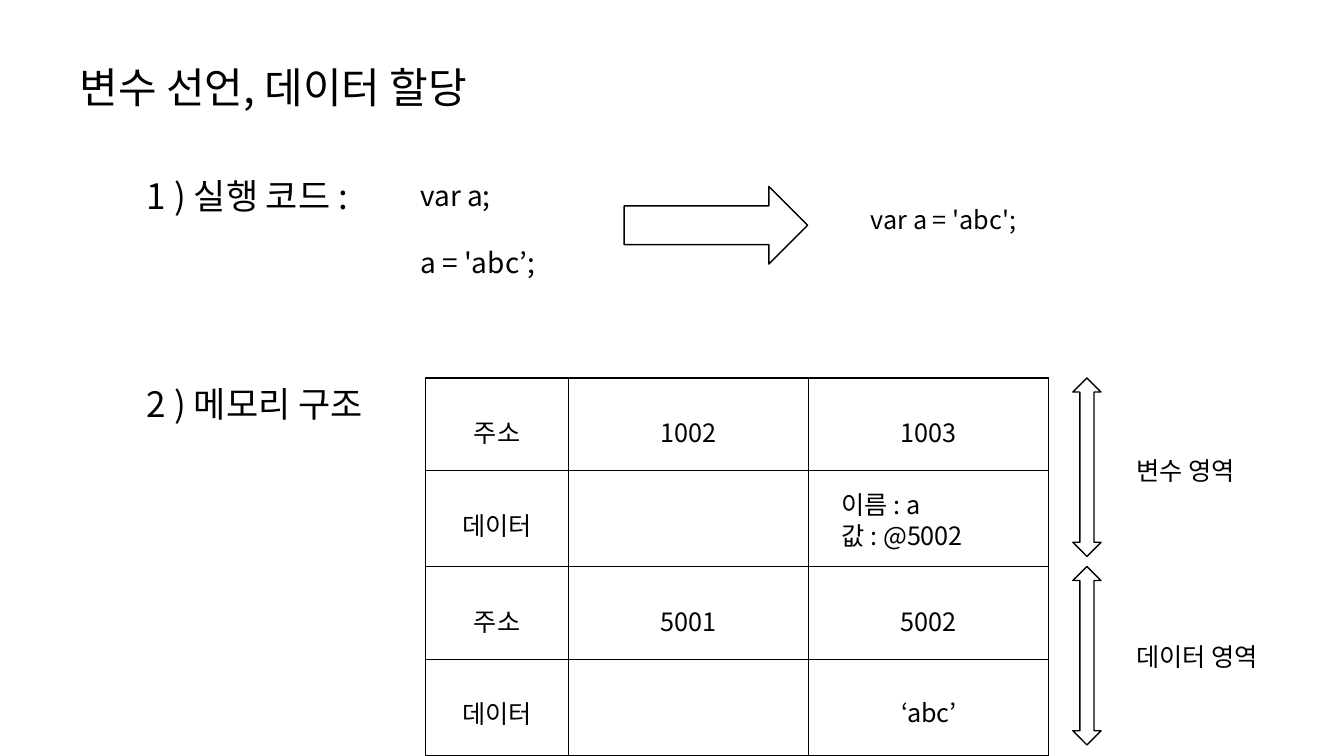
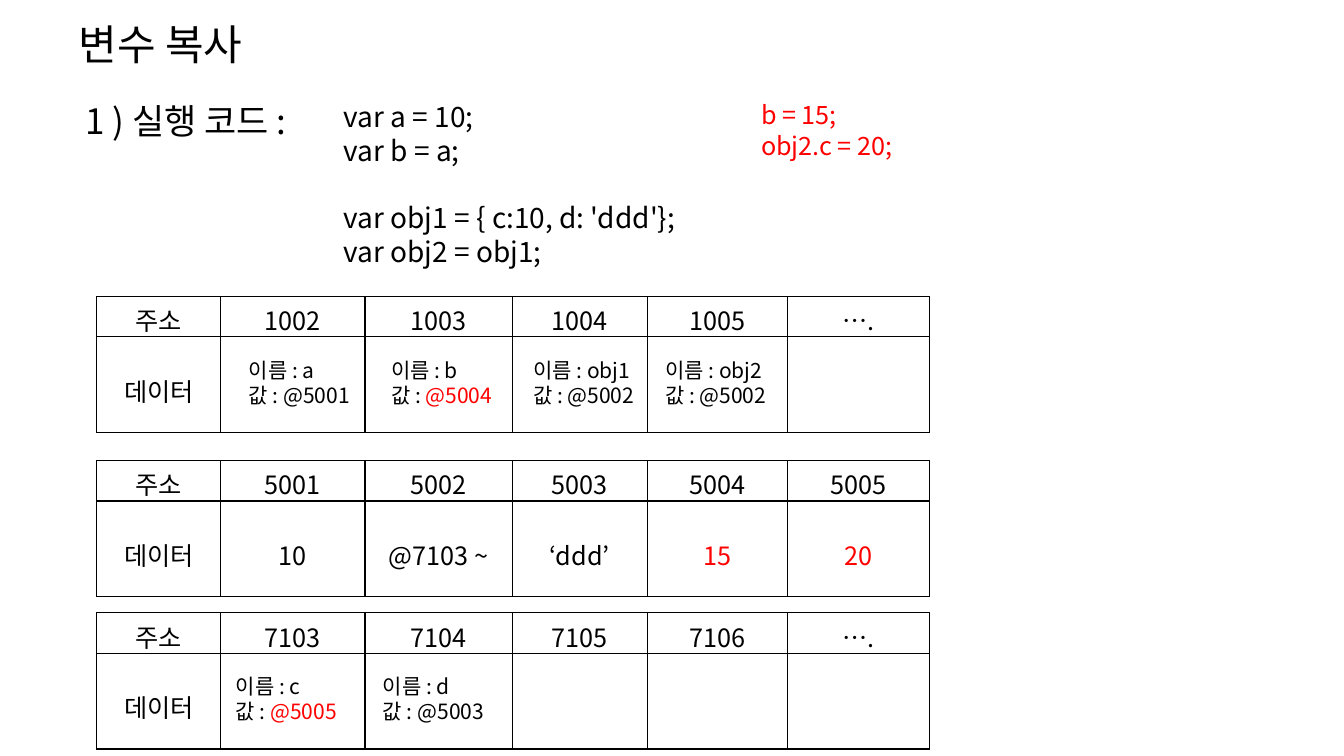
from pptx import Presentation
from pptx.dml.color import RGBColor
from pptx.enum.shapes import MSO_SHAPE
from pptx.enum.text import MSO_AUTO_SIZE, PP_ALIGN
from pptx.oxml.ns import qn
from pptx.util import Inches, Pt
from lxml.etree import SubElement

COLORS = {"black": "000000", "white": "FFFFFF", "red": "FF0000"}
FACE = "Noto Sans CJK KR"
SIZES = {"title": 30, "head": 25, "code": 20, "label": 18, "small": 15}
FRAME = {"word_wrap": True, "auto_size": MSO_AUTO_SIZE.SHAPE_TO_FIT_TEXT}
PLAIN = {"first_row": False, "horz_banding": False}
MIDDLE = {"alignment": PP_ALIGN.CENTER}
EDGES = ("a:lnL", "a:lnR", "a:lnT", "a:lnB")
MEMO = (1.42, 2.38, 2.38)
GRID = (1.23, 1.43, 1.46, 1.34, 1.39, 1.41)


def apply(item, values):
    for name, value in values.items():
        setattr(item, name, value)


def paint(fill, color):
    fill.solid()
    fill.fore_color.rgb = RGBColor.from_string(COLORS[color])


def write(line, text, style):
    parts = (text,) if isinstance(text, str) else text
    for part, color in zip(parts, ("black", "red")):
        if part:
            run = line.add_run()
            run.text = part
            apply(run.font, {"name": FACE, "size": Pt(SIZES[style])})
            run.font.color.rgb = RGBColor.from_string(COLORS[color])
            SubElement(run.font._element, qn("a:ea"), typeface=FACE)


def add_text(slide, spot, lines, style, gaps=None):
    box = slide.shapes.add_textbox(*map(Inches, spot))
    frame = box.text_frame
    apply(frame, FRAME)
    for i, text in enumerate(lines):
        line = frame.add_paragraph() if i else frame.paragraphs[0]
        line.space_before = Pt((gaps or {}).get(i, 0))
        write(line, text, style)


def add_field(slide, left, top, name, value, style="small"):
    height = 0.71 if style == "label" else 0.61
    pair = (f"이름 : {name}", value)
    add_text(slide, (left, top, 1.89, height), pair, style)


def add_arrow(slide, kind, spot):
    arrow = slide.shapes.add_shape(kind, *map(Inches, spot))
    arrow.shadow.inherit = False
    paint(arrow.fill, "white")
    paint(arrow.line.fill, "black")
    arrow.line.width = Pt(1)


def add_edges(cell):
    props = cell._tc.get_or_add_tcPr()
    for edge in EDGES:
        line = SubElement(props, qn(edge), w=str(Pt(1)))
        fill = SubElement(line, qn("a:solidFill"))
        SubElement(fill, qn("a:srgbClr"), val=COLORS["black"])


def add_grid(slide, left, top, cols, rows, cells, low):
    spot = (left, top, sum(cols), sum(rows))
    table = slide.shapes.add_table(len(rows), len(cols), *map(Inches, spot)).table
    apply(table, PLAIN)
    for col, width in zip(table.columns, cols):
        col.width = Inches(width)
    for r, height in enumerate(rows):
        table.rows[r].height = Inches(height)
        for c in range(len(cols)):
            cell = table.cell(r, c)
            add_edges(cell)
            paint(cell.fill, "white")
            if c < len(cells[r]):
                cell.margin_top = Inches(0.35 if r in low else 0.05)
                line = cell.text_frame.paragraphs[0]
                apply(line, MIDDLE)
                write(line, cells[r][c], "label")


def build_declare(slide):
    add_text(slide, (0.69, 0.56, 5.74, 0.61), ["변수 선언, 데이터 할당"], "title")
    add_text(slide, (1.36, 1.68, 9.56, 0.94), ["1 ) 실행 코드 :"], "head")
    add_text(slide, (1.36, 3.75, 9.56, 0.52), ["2 ) 메모리 구조"], "head")
    code = ["var\u00a0a;", "a\u00a0=\u00a0'abc’;"]
    add_text(slide, (4.07, 1.72, 3.43, 1.78), code, "code", {1: 24})
    add_arrow(slide, MSO_SHAPE.RIGHT_ARROW, (6.19, 1.85, 1.82, 0.77))
    short = ["var\u00a0a\u00a0=\u00a0'abc';"]
    add_text(slide, (8.54, 1.98, 2.38, 0.4), short, "label")
    zones = (
        (3.75, 4.47, "변수 영역", ("1002", "1003")),
        (5.62, 6.31, "데이터 영역", ("5001", "5002")),
    )
    for top, mid, name, spots in zones:
        cells = (("주소", *spots), ("데이터",))
        add_grid(slide, 4.22, top, MEMO, (0.92, 0.96), cells, (0, 1))
        add_arrow(slide, MSO_SHAPE.UP_DOWN_ARROW, (10.64, top, 0.28, 1.77))
        add_text(slide, (11.17, mid, 1.77, 0.4), [name], "label")
    add_field(slide, 8.25, 4.81, "a", "값 : @5002", "label")
    add_text(slide, (8.84, 6.87, 1.89, 0.4), ["‘abc’"], "label")


def build_copy(slide):
    add_text(slide, (0.68, 0.13, 5.74, 0.61), ["변수 복사"], "title")
    add_text(slide, (0.75, 0.94, 2.43, 0.52), ["1 ) 실행 코드 :"], "head")
    code = [
        "var\u00a0a\u00a0=\u00a010;",
        "var\u00a0b\u00a0=\u00a0a;",
        "var\u00a0obj1\u00a0=\u00a0{\u00a0c:10,\u00a0d:\u00a0'ddd'};",
        "var\u00a0obj2\u00a0=\u00a0obj1;",
    ]
    add_text(slide, (3.31, 0.94, 6.05, 1.78), code, "code", {2: 24})
    change = [("", "b = 15;"), ("", "obj2.c = 20;")]
    add_text(slide, (7.45, 0.94, 3.55, 0.71), change, "label")
    data = ("10", "@7103 ~", "‘ddd’", ("", "15"), ("", "20"))
    grids = (
        (2.94, ("1002", "1003", "1004", "1005", "…."), ()),
        (4.57, ("5001", "5002", "5003", "5004", "5005"), data),
        (6.08, ("7103", "7104", "7105", "7106", "…."), ()),
    )
    for top, spots, values in grids:
        cells = (("주소", *spots), ("데이터", *values))
        add_grid(slide, 0.96, top, GRID, (0.4, 0.95), cells, (1,))
    fields = (
        (2.37, 3.5, "a", "값 : @5001"),
        (3.78, 3.5, "b", ("값 : ", "@5004")),
        (5.19, 3.5, "obj1", "값 : @5002"),
        (6.5, 3.5, "obj2", "값 : @5002"),
        (2.24, 6.63, "c", ("값 : ", "@5005")),
        (3.7, 6.63, "d", "값 : @5003"),
    )
    for field in fields:
        add_field(slide, *field)


def main():
    deck = Presentation()
    apply(deck, {"slide_width": Inches(13.33), "slide_height": Inches(7.5)})
    for build in (build_declare, build_copy):
        build(deck.slides.add_slide(deck.slide_layouts[6]))
    deck.save("out.pptx")


main()
